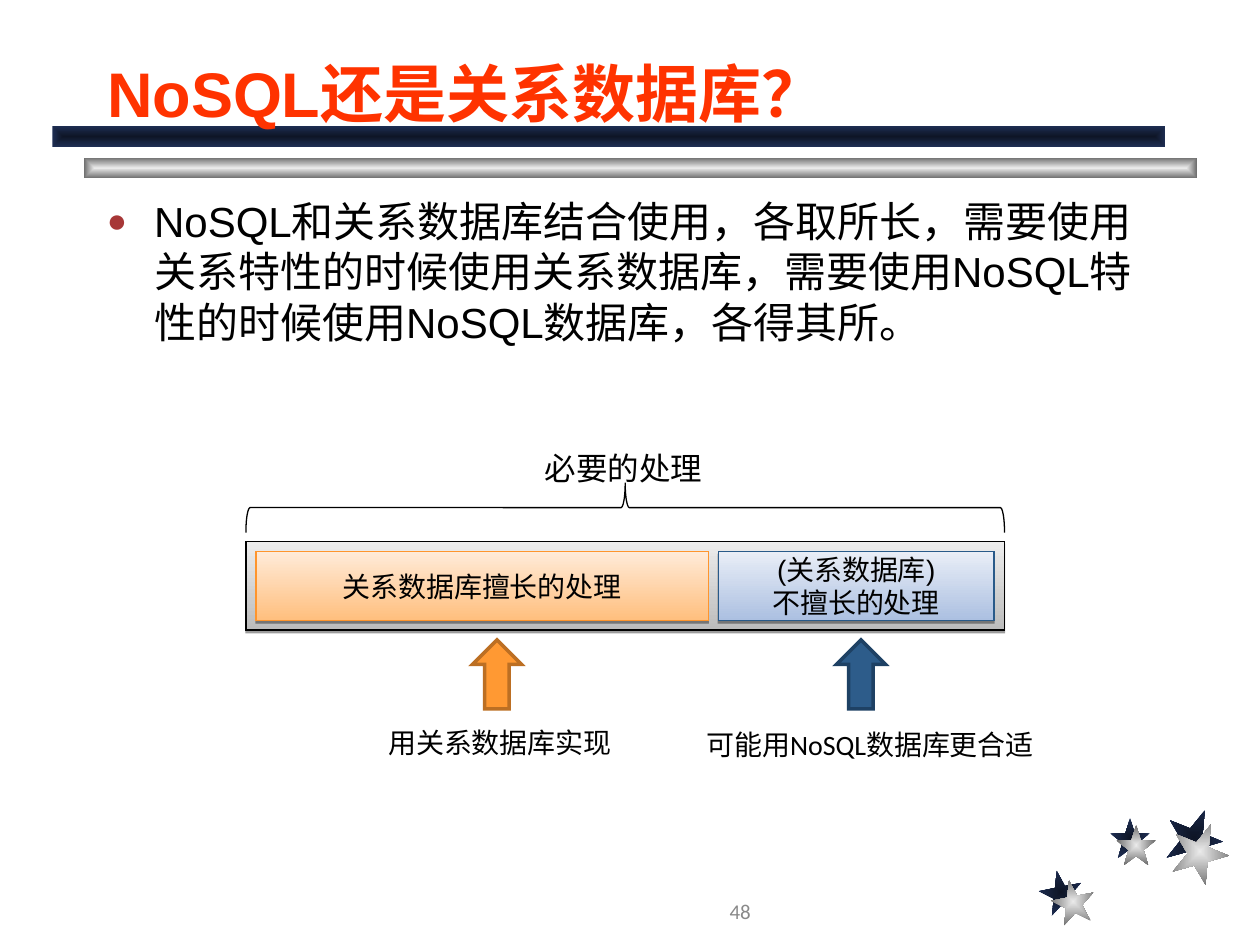
from dataclasses import dataclass
from typing import NamedTuple

from lxml import etree
from pptx import Presentation
from pptx.dml.color import RGBColor
from pptx.enum.shapes import MSO_SHAPE
from pptx.enum.text import MSO_ANCHOR, MSO_AUTO_SIZE, PP_ALIGN
from pptx.oxml.ns import qn
from pptx.util import Pt

RECTANGLE = MSO_SHAPE.RECTANGLE
STAR = MSO_SHAPE.STAR_5_POINT
UP_ARROW = MSO_SHAPE.UP_ARROW
RIGHT_BRACE = MSO_SHAPE.RIGHT_BRACE
LEFT, CENTER = PP_ALIGN.LEFT, PP_ALIGN.CENTER
TOP, MIDDLE, BOTTOM = MSO_ANCHOR.TOP, MSO_ANCHOR.MIDDLE, MSO_ANCHOR.BOTTOM
FIT_SHAPE, NO_FIT = MSO_AUTO_SIZE.SHAPE_TO_FIT_TEXT, MSO_AUTO_SIZE.NONE


@dataclass(frozen=True)
class Theme:
    heading_font: str = "Arial"
    label_font: str = "Calibri"
    title_size: float = 36
    body_size: float = 24
    caption_size: float = 18
    label_size: float = 16
    number_size: float = 12
    title: str = "FF3300"
    text: str = "000000"
    number: str = "898989"
    bullet: str = "A73737"
    navy: tuple = ("0E1526", "1E2E53")
    silver: tuple = ("EAEAEA", "6C6C6C")
    frame: tuple = ("BCBCBC", "EDEDED")
    orange_panel: tuple = ("FFBF7E", "FFEBD9")
    blue_panel: tuple = ("ACC0E1", "E9EEF7")
    frame_line: str = "000000"
    orange_panel_line: str = "FE952D"
    blue_panel_line: str = "295A89"
    orange_arrow: str = "FF9933"
    orange_arrow_line: str = "BC6F23"
    blue_arrow: str = "2D5C8A"
    blue_arrow_line: str = "1E4164"


THEME = Theme()


class Area(NamedTuple):
    left: float
    top: float
    width: float
    height: float

    def lengths(self) -> list:
        return [Pt(value) for value in self]


class Star(NamedTuple):
    area: Area
    angle: float
    colors: tuple


class Panel(NamedTuple):
    area: Area
    colors: tuple
    outline: str
    text: str


class Arrow(NamedTuple):
    left: float
    fill: str
    outline: str


class Label(NamedTuple):
    area: Area
    text: str
    size: float


STARS = [
    Star(Area(594, 497.5, 24.5, 24.5), 349, THEME.navy),
    Star(Area(634.5, 467.5, 22.5, 23), 0, THEME.navy),
    Star(Area(666, 462, 32.5, 33), 22, THEME.navy),
    Star(Area(601, 503, 24.5, 24.5), 349, THEME.silver),
    Star(Area(638, 471.5, 22.5, 23), 0, THEME.silver),
    Star(Area(669.5, 470, 32.5, 33), 22, THEME.silver),
]
BARS = [
    (Area(48, 90, 636, 12), THEME.silver),
    (Area(30, 72, 636, 12), THEME.navy),
]
FRAME = Area(140.5, 309.5, 433.5, 50.5)
PANELS = [
    Panel(FRAME, THEME.frame, THEME.frame_line, ""),
    Panel(Area(146.3, 315.1, 258.5, 39.4), THEME.orange_panel,
          THEME.orange_panel_line, "关系数据库擅长的处理"),
    Panel(Area(410.5, 315.1, 157.5, 39.4), THEME.blue_panel,
          THEME.blue_panel_line, "(关系数据库)\n不擅长的处理"),
]
ARROWS = [
    Arrow(270, THEME.orange_arrow, THEME.orange_arrow_line),
    Arrow(478, THEME.blue_arrow, THEME.blue_arrow_line),
]
LABELS = [
    Label(Area(304.2, 253.1, 104.5, 29), "必要的处理", THEME.caption_size),
    Label(Area(214.8, 410.8, 142, 26.5), "用关系数据库实现", THEME.label_size),
    Label(Area(396.5, 411.9, 209, 26.5), "可能用NoSQL数据库更合适", THEME.label_size),
]


def write(box, text: str, font: str, size: float, color: str = THEME.text,
          align=LEFT, anchor=TOP, bold: bool = False) -> None:
    frame = box.text_frame
    frame.text = text
    frame.vertical_anchor = anchor
    for para in frame.paragraphs:
        para.alignment = align
        for span in para.runs:
            span.font.name = font
            span.font.size = Pt(size)
            span.font.bold = bold
            span.font.color.rgb = RGBColor.from_string(color)


def add_text(page, area: Area, wrap: bool = True):
    box = page.shapes.add_textbox(*area.lengths())
    box.text_frame.word_wrap = wrap
    box.text_frame.auto_size = NO_FIT if wrap else FIT_SHAPE
    return box


def add_figure(page, kind, area: Area, outline: str = "", width: float = 0.75):
    figure = page.shapes.add_shape(kind, *area.lengths())
    figure.shadow.inherit = False
    figure.fill.background()
    if outline:
        figure.line.color.rgb = RGBColor.from_string(outline)
        figure.line.width = Pt(width)
        line = figure.element.spPr.find(qn("a:ln"))
        etree.SubElement(line, qn("a:miter"), lim="800000")
    else:
        figure.line.fill.background()
    return figure


def shade(figure, colors: tuple, from_center: bool = False) -> None:
    """Blend two colours, upwards or from the centre to the edges."""
    figure.fill.gradient()
    for stop, color in zip(figure.fill.gradient_stops, colors):
        stop.color.rgb = RGBColor.from_string(color)
    figure.fill.gradient_angle = 90
    if from_center:
        gradient = figure.element.spPr.find(qn("a:gradFill"))
        linear = gradient.find(qn("a:lin"))
        route = etree.Element(qn("a:path"), path="rect")
        etree.SubElement(route, qn("a:fillToRect"),
                         {side: "50000" for side in "ltrb"})
        gradient.replace(linear, route)


def drop_shadow(figure) -> None:
    effects = figure.element.spPr.find(qn("a:effectLst"))
    shadow = etree.SubElement(effects, qn("a:outerShdw"), blurRad="0",
                              dist=str(Pt(1.6)), dir="5400000", rotWithShape="0")
    color = etree.SubElement(shadow, qn("a:srgbClr"), val="000000")
    etree.SubElement(color, qn("a:alpha"), val="38000")


def add_bullet(para, indent: float) -> None:
    settings = para._p.get_or_add_pPr()
    settings.set("marL", str(Pt(indent)))
    settings.set("indent", str(-Pt(indent)))
    color = etree.SubElement(settings, qn("a:buClr"))
    etree.SubElement(color, qn("a:srgbClr"), val=THEME.bullet)
    etree.SubElement(settings, qn("a:buSzPct"), val="80000")
    etree.SubElement(settings, qn("a:buFont"), typeface=THEME.heading_font)
    etree.SubElement(settings, qn("a:buChar"), char="●")


def add_panel(page, panel: Panel) -> None:
    figure = add_figure(page, RECTANGLE, panel.area, panel.outline)
    shade(figure, panel.colors)
    drop_shadow(figure)
    if panel.text:
        write(figure, panel.text, THEME.heading_font, THEME.label_size,
              align=CENTER, anchor=MIDDLE)


def add_brace(page, span: Area, top: float, depth: float) -> None:
    """Lay a brace on its side across the width of the span."""
    left = span.left + (span.width - depth) / 2
    upper = top + (depth - span.width) / 2
    brace = add_figure(page, RIGHT_BRACE, Area(left, upper, depth, span.width),
                       THEME.frame_line)
    brace.rotation = 270


def main() -> None:
    deck = Presentation()
    deck.slide_width, deck.slide_height = Pt(720), Pt(540)
    page = deck.slides.add_slide(deck.slide_layouts[5])

    # Corner stars and heading bars
    for star in STARS:
        figure = add_figure(page, STAR, star.area)
        figure.rotation = star.angle
        shade(figure, star.colors, from_center=True)
    for area, colors in BARS:
        shade(add_figure(page, RECTANGLE, area), colors, from_center=True)

    # Title, raised above the bars
    title = page.shapes.title
    title.left, title.top, title.width, title.height = Area(54, 12, 612, 66).lengths()
    title.text_frame.auto_size = NO_FIT
    write(title, "NoSQL还是关系数据库？", THEME.heading_font, THEME.title_size,
          THEME.title, anchor=BOTTOM, bold=True)
    title.element.getparent().append(title.element)

    # Body text and page number
    body = add_text(page, Area(54, 108, 612, 384))
    write(body, "NoSQL和关系数据库结合使用，各取所长，需要使用关系特性的时候使用关系数据库，"
          "需要使用NoSQL特性的时候使用NoSQL数据库，各得其所。",
          THEME.heading_font, THEME.body_size)
    add_bullet(body.text_frame.paragraphs[0], 27)
    number = add_text(page, Area(276, 510, 294, 24))
    write(number, "48", THEME.label_font, THEME.number_size, THEME.number, CENTER)

    # Diagram of the processing split
    for panel in PANELS:
        add_panel(page, panel)
    add_brace(page, FRAME, top=275.8, depth=28.5)
    for arrow in ARROWS:
        figure = add_figure(page, UP_ARROW, Area(arrow.left, 365.6, 28, 39.5),
                            arrow.outline, 2)
        figure.fill.solid()
        figure.fill.fore_color.rgb = RGBColor.from_string(arrow.fill)
    for label in LABELS:
        write(add_text(page, label.area, wrap=False), label.text,
              THEME.label_font, label.size)

    deck.save("out.pptx")


if __name__ == "__main__":
    main()
